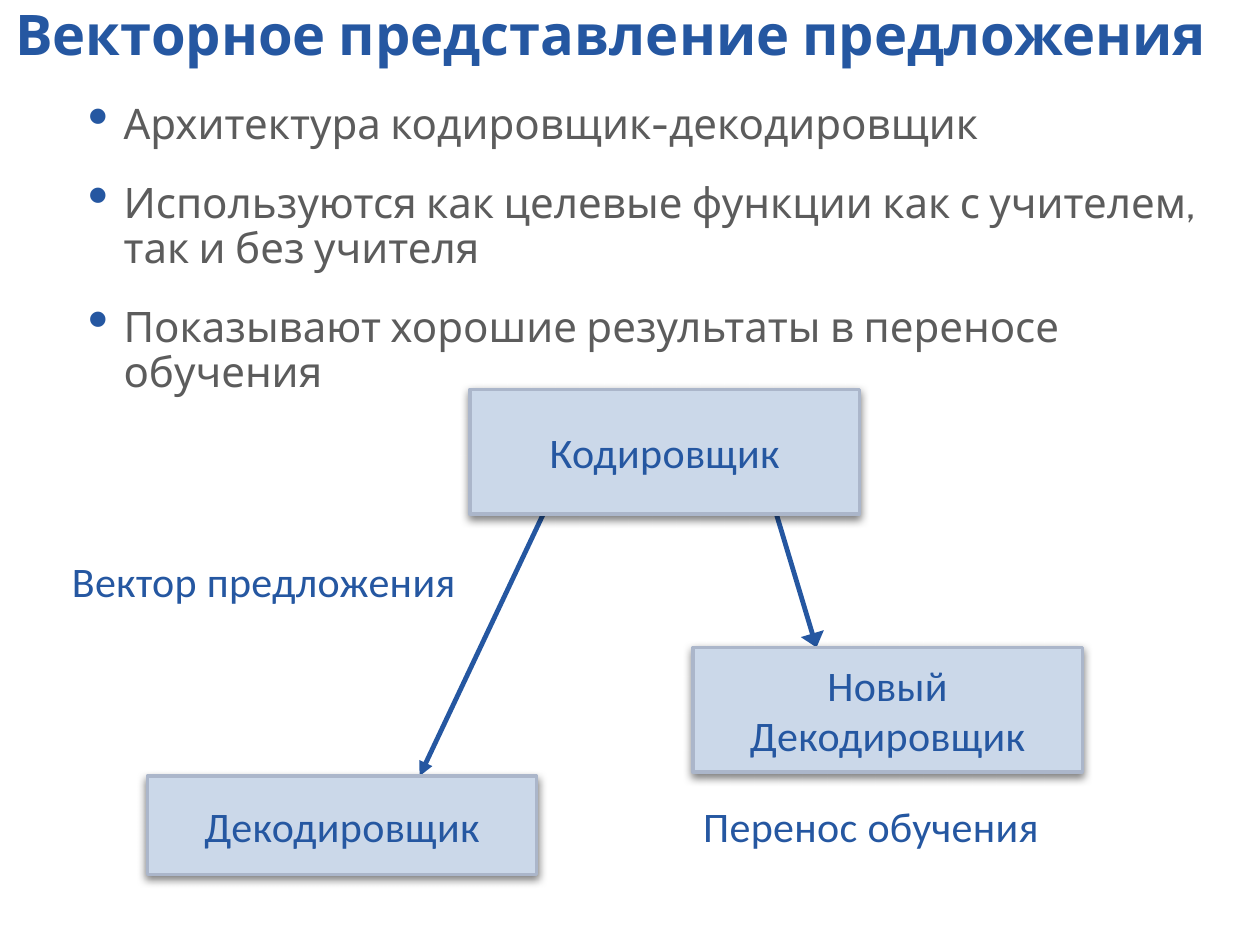
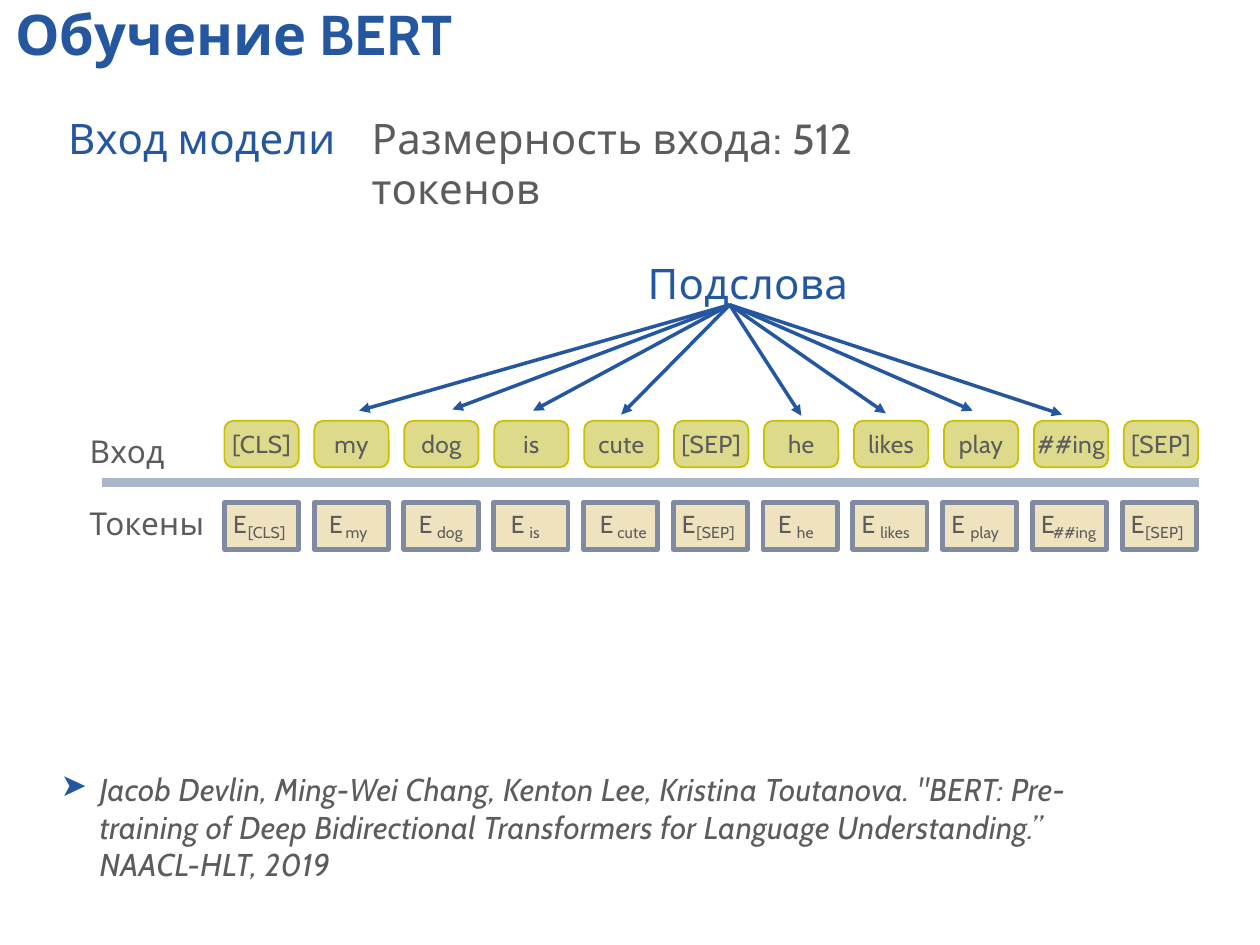
from dataclasses import dataclass
from typing import Optional

from lxml import etree
from pptx import Presentation
from pptx import util as u
from pptx.dml.color import RGBColor
from pptx.enum import shapes, text
from pptx.oxml import ns

Pt = u.Pt


# Shared look
@dataclass(frozen=True)
class Theme:
    blue: str = "2557A1"
    gray: str = "5C5C5C"
    block_fill: str = "CBD8E9"
    steel: str = "ABB6CA"
    word_fill: str = "DEDA8C"
    word_line: str = "C6C000"
    embed_fill: str = "EFE2BF"
    embed_line: str = "808BA2"
    font: str = "Cabin"
    diagram_font: str = "Calibri"
    title: float = 32
    body: float = 24
    label: float = 18
    token: float = 14
    sub: float = 9
    inset: float = 2.2


T = Theme()


@dataclass(frozen=True)
class Box:
    x: float
    y: float
    w: float
    h: float


@dataclass(frozen=True)
class Style:
    size: float = T.body
    color: str = T.blue
    font: str = T.font
    bold: bool = False
    italic: bool = False
    spacing: int = 20  # hundredths of a point


@dataclass(frozen=True)
class Bullet:
    char: str
    indent: float
    percent: int = 100


@dataclass(frozen=True)
class Look:
    fill: str
    line: str
    width: float
    preset: shapes.MSO_SHAPE = shapes.MSO_SHAPE.RECTANGLE
    shadow: bool = False


@dataclass(frozen=True)
class Block:
    label: str
    box: Box


@dataclass(frozen=True)
class Token:
    word: str
    symbol_inset: float = 5
    sub_shift: float = 2.2
    tip: Optional[tuple[float, float]] = None


DIAGRAM = Style(font=T.diagram_font)
GRAY = Style(color=T.gray)
TOKEN = Style(T.token, T.gray)
SUB = Style(T.sub, T.gray, spacing=10)
LABEL = Style(T.label, T.gray)
LEFT, CENTER = text.PP_ALIGN.LEFT, text.PP_ALIGN.CENTER
TOP, MIDDLE = text.MSO_ANCHOR.TOP, text.MSO_ANCHOR.MIDDLE


# Drawing helpers
def child(parent, tag: str, **attrs: str):
    e = etree.SubElement(parent, ns.qn(tag))
    for key, value in attrs.items():
        e.set(key, value)
    return e


def place(sp, box: Box) -> None:
    sp.left, sp.top, sp.width, sp.height = map(Pt, (box.x, box.y, box.w, box.h))


def set_frame(tf, anchor=TOP, wrap: bool = True, inset: float = T.inset) -> None:
    tf.word_wrap = wrap
    tf.vertical_anchor = anchor
    tf.margin_left = tf.margin_right = tf.margin_top = tf.margin_bottom = Pt(inset)


def add_run(p, words: str, style: Style) -> None:
    r = p.add_run()
    r.text = words
    f = r.font
    f.name, f.size = style.font, Pt(style.size)
    f.bold, f.italic = style.bold, style.italic
    f.color.rgb = RGBColor.from_string(style.color)
    if style.spacing:
        r._r.get_or_add_rPr().set("spc", str(style.spacing))


def set_bullet(p, bullet: Bullet) -> None:
    pPr = p._p.get_or_add_pPr()
    pPr.set("marL", str(Pt(bullet.indent)))
    pPr.set("indent", str(-Pt(bullet.indent)))
    child(child(pPr, "a:buClr"), "a:srgbClr", val=T.blue)
    child(pPr, "a:buSzPct", val=str(bullet.percent * 1000))
    child(pPr, "a:buChar", char=bullet.char)


def add_text(slide, box: Box, lines: list[str], style: Style, align=LEFT,
             anchor=TOP, wrap: bool = True, bullet: Optional[Bullet] = None,
             leading: Optional[float] = None) -> None:
    sp = slide.shapes.add_textbox(*map(Pt, (box.x, box.y, box.w, box.h)))
    tf = sp.text_frame
    set_frame(tf, anchor, wrap)
    tf.auto_size = text.MSO_AUTO_SIZE.SHAPE_TO_FIT_TEXT
    for i, line in enumerate(lines):
        p = tf.add_paragraph() if i else tf.paragraphs[0]
        if bullet:
            set_bullet(p, bullet)
        p.alignment = align
        if leading:
            p.line_spacing = leading
        if i:
            p.space_before = Pt(19)
        add_run(p, line, style)


def add_box(slide, box: Box, look: Look, label: str, style: Style):
    sp = slide.shapes.add_shape(look.preset, *map(Pt, (box.x, box.y, box.w, box.h)))
    sp.fill.solid()
    sp.fill.fore_color.rgb = RGBColor.from_string(look.fill)
    sp.line.color.rgb = RGBColor.from_string(look.line)
    sp.line.width = Pt(look.width)
    sp.shadow.inherit = False
    if look.shadow:
        effects = sp._element.spPr.find(ns.qn("a:effectLst"))
        shadow = child(effects, "a:outerShdw", blurRad=str(Pt(5)), dist=str(Pt(2)),
                       dir="5400000", rotWithShape="0")
        child(child(shadow, "a:srgbClr", val="000000"), "a:alpha", val="50000")
    set_frame(sp.text_frame, MIDDLE)
    p = sp.text_frame.paragraphs[0]
    p.alignment = CENTER
    add_run(p, label, style)
    return sp


def add_line(slide, start: tuple[float, float], end: tuple[float, float],
             color: str, width: float, arrow: str = "") -> None:
    """Draw a straight line; arrow is the arrowhead's width at the end."""
    c = slide.shapes.add_connector(shapes.MSO_CONNECTOR.STRAIGHT,
                                   *map(Pt, (*start, *end)))
    c.line.color.rgb = RGBColor.from_string(color)
    c.line.width = Pt(width)
    spPr = c._element.spPr
    if arrow:
        child(spPr.find(ns.qn("a:ln")), "a:tailEnd", type="triangle", w=arrow, len="med")
    child(spPr, "a:effectLst")


def add_slide(prs, title: str):
    slide = prs.slides.add_slide(prs.slide_layouts[5])
    sp = slide.shapes.title
    place(sp, Box(-0.7, 0.7, 718.6, 43.2))
    tf = sp.text_frame
    set_frame(tf, inset=3.6)
    tf.auto_size = text.MSO_AUTO_SIZE.NONE
    p = tf.paragraphs[0]
    p.alignment, p.line_spacing = LEFT, 0.9
    p._p.get_or_add_pPr().set("indent", str(Pt(5.8)))
    add_run(p, title, Style(T.title, bold=True, spacing=0))
    return slide


# Slide 1: encoder and decoders
BLOCK = Look(T.block_fill, T.steel, 2, shadow=True)
BLOCKS = [
    Block("Кодировщик", Box(268.6, 222.5, 222.5, 71.3)),
    Block("Декодировщик", Box(84.2, 443.5, 222.5, 56.2)),
    Block("Новый Декодировщик", Box(396, 370, 222.5, 71.3)),
]
NOTES = [
    Block("Вектор предложения", Box(38.9, 317.5, 247, 28.1)),
    Block("Перенос обучения", Box(399.6, 457.9, 215.3, 28.1)),
]


def sentence_slide(prs) -> None:
    slide = add_slide(prs, "Векторное представление предложения")
    add_line(slide, (311.8, 290.9), (239.8, 443.5), T.blue, 2.75, "med")
    add_line(slide, (437.8, 274.3), (466.6, 370), T.blue, 2.75, "lg")
    add_text(slide, Box(48.2, 56.9, 661.7, 145.4), [
        "Архитектура кодировщик-декодировщик",
        "Используются как целевые функции как с учителем, так и без учителя",
        "Показывают хорошие результаты в переносе обучения",
    ], Style(color=T.gray, spacing=0), bullet=Bullet("•", 20.2, 140), leading=0.9)
    for b in BLOCKS:
        add_box(slide, b.box, BLOCK, b.label, DIAGRAM)
    for n in NOTES:
        add_text(slide, n.box, [n.label], DIAGRAM, anchor=MIDDLE, wrap=False)


# Slide 2: model input
WORD = Look(T.word_fill, T.word_line, 1, shapes.MSO_SHAPE.ROUNDED_RECTANGLE)
EMBED = Look(T.embed_fill, T.embed_line, 2.75)
ROW_X, WORD_PITCH, EMBED_PITCH = 128.2, 51.4, 51.3
CELL_W, CELL_H, WORD_Y, EMBED_Y = 42.5, 26.6, 240.5, 287.3
FAN = (417, 174.2)
TOKENS = [
    Token("[CLS]"),
    Token("my", 8.6, 2.2, (205.2, 234.7)),
    Token("dog", 8.6, 4.3, (258.5, 234)),
    Token("is", 9.8, 1.5, (304.6, 234.7)),
    Token("cute", 9.4, 5.8, (355, 236.9)),
    Token("[SEP]"),
    Token("he", 8.6, 2.2, (457.9, 237.6)),
    Token("likes", tip=(506.2, 236.2)),
    Token("play", tip=(555.8, 234.7)),
    Token("##ing", tip=(607, 236.9)),
    Token("[SEP]"),
]


def bert_slide(prs) -> None:
    slide = add_slide(prs, "Обучение BERT")
    add_text(slide, Box(32.4, 437.8, 608.4, 69.1), [
        'Jacob Devlin, Ming-Wei Chang, Kenton Lee, Kristina Toutanova. "BERT: '
        "Pre-training of Deep Bidirectional Transformers for Language "
        "Understanding.” NAACL-HLT, 2019",
    ], Style(T.label, T.gray, italic=True), anchor=MIDDLE, bullet=Bullet("➤", 22.3))
    add_text(slide, Box(36.7, 61.9, 395.3, 33.1), ["Вход модели"], DIAGRAM_HEAD)
    add_text(slide, Box(210.2, 61.9, 375.1, 33.1),
             ["Размерность входа: 512 токенов"], GRAY)
    add_text(slide, Box(367.9, 144.7, 345, 33.1), ["Подслова"], DIAGRAM_HEAD)

    # Words above the rule, embeddings below it
    add_line(slide, (58.3, 275.8), (685.4, 275.8), T.steel, 5)
    for i, token in enumerate(TOKENS):
        word_box = Box(ROW_X + i * WORD_PITCH, WORD_Y, CELL_W, CELL_H)
        sp = add_box(slide, word_box, WORD, token.word, TOKEN)
        sp.adjustments[0] = 0.19
        sp.text_frame.word_wrap = False

        x = ROW_X + i * EMBED_PITCH
        sp = add_box(slide, Box(x, EMBED_Y, CELL_W, CELL_H), EMBED, "E", TOKEN)
        tf = sp.text_frame
        tf.vertical_anchor = TOP
        tf.margin_left, tf.margin_top = Pt(token.symbol_inset), Pt(3.6)
        tf.paragraphs[0].alignment = LEFT
        add_text(slide, Box(x + token.sub_shift, 296.6, 43.9, 14.4),
                 [token.word], SUB, CENTER)
        if token.tip:
            add_line(slide, FAN, token.tip, T.blue, 2, "med")
    for label, y in (("Вход", 244.8), ("Токены", 285.8)):
        add_text(slide, Box(49, y, 75.6, 25.9), [label], LABEL)


DIAGRAM_HEAD = Style()


def main() -> None:
    prs = Presentation()
    prs.slide_width, prs.slide_height = Pt(720), Pt(540)
    sentence_slide(prs)
    bert_slide(prs)
    prs.save("out.pptx")


if __name__ == "__main__":
    main()
